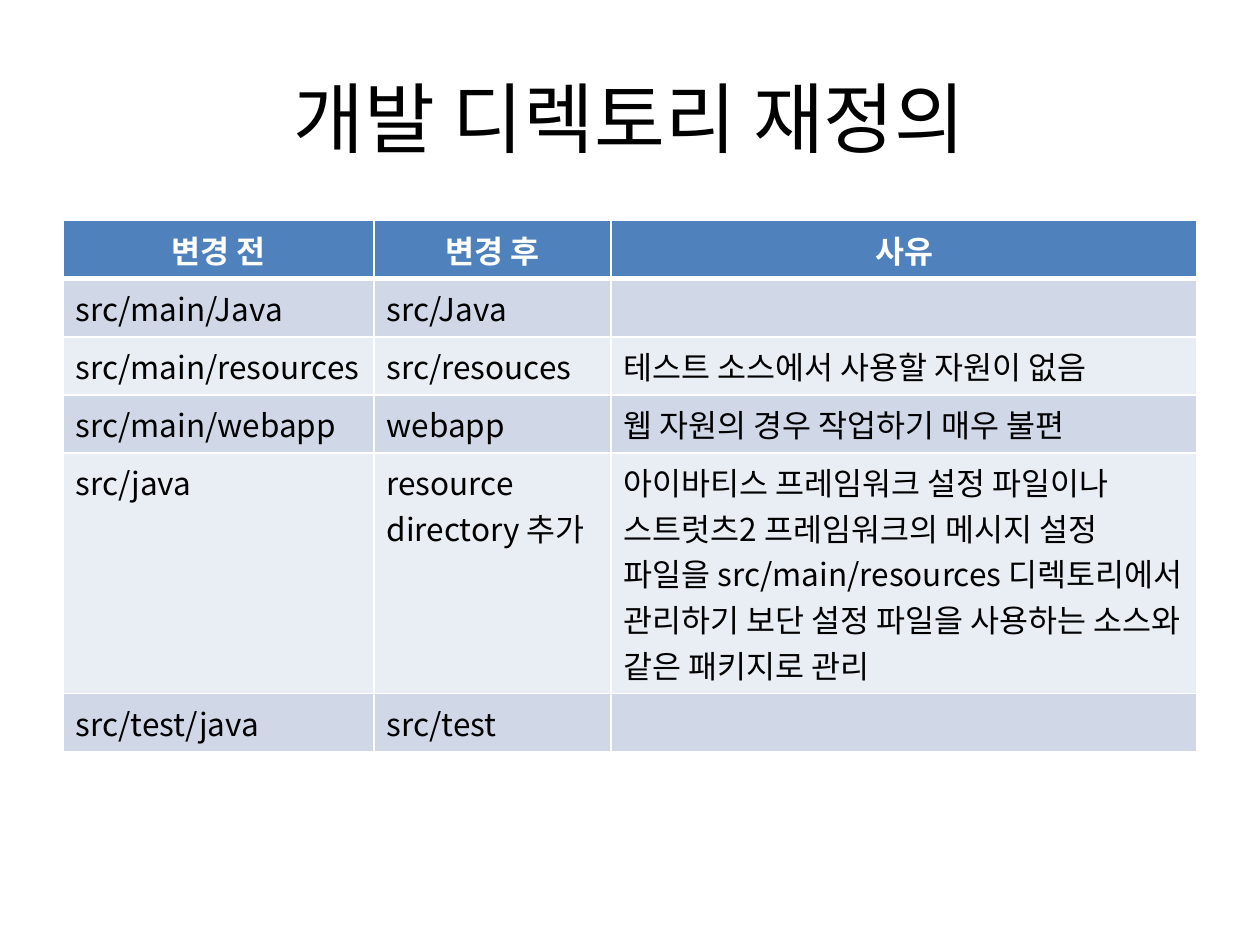
import dataclasses

import lxml.etree
import pptx
import pptx.dml.color
import pptx.enum.text
import pptx.oxml.ns
import pptx.util

Cm, Pt = pptx.util.Cm, pptx.util.Pt
RGB = pptx.dml.color.RGBColor.from_string
PP_ALIGN = pptx.enum.text.PP_ALIGN
qn = pptx.oxml.ns.qn


@dataclasses.dataclass(frozen=True)
class Theme:
    font: str = "Noto Sans CJK KR"
    title_size: int = 44
    body_size: int = 18
    text: str = "000000"
    header_text: str = "FFFFFF"
    header_fill: str = "4F81BD"
    bands: tuple = ("D0D8E8", "E9EDF4")
    border: str = "FFFFFF"
    thin: int = 1
    thick: int = 3


THEME = Theme()
TITLE = "개발 디렉토리 재정의"
ROWS = [
    ("변경 전", "변경 후", "사유"),
    ("src/main/Java", "src/Java", ""),
    ("src/main/resources", "src/resouces", "테스트 소스에서 사용할 자원이 없음"),
    ("src/main/webapp", "webapp", "웹 자원의 경우 작업하기 매우 불편"),
    ("src/java", "resource directory 추가",
     "아이바티스 프레임워크 설정 파일이나 스트럿츠2 프레임워크의 메시지 설정 파일을 "
     "src/main/resources 디렉토리에서 관리하기 보단 설정 파일을 사용하는 소스와 같은 패키지로 관리"),
    ("src/test/java", "src/test", ""),
]
COL_WIDTHS = (6.27, 4.78, 11.81)
ROW_HEIGHTS = (1.17, 1.17, 1.17, 1.17, 4.85, 1.17)


def write(tf, text, color, align, **fmt):
    p = tf.paragraphs[0]
    p.alignment = align
    if not text:
        return
    r = p.add_run()
    r.text = text
    for name, value in {"name": THEME.font, **fmt}.items():
        setattr(r.font, name, value)
    r.font.color.rgb = RGB(color)


def add_border(cell, side, width):
    ln = lxml.etree.SubElement(cell._tc.get_or_add_tcPr(), qn("a:ln" + side))
    ln.set("w", str(Pt(width)))
    fill = lxml.etree.SubElement(ln, qn("a:solidFill"))
    lxml.etree.SubElement(fill, qn("a:srgbClr")).set("val", THEME.border)


def add_title(s, left, top, width, height):
    tf = s.shapes.add_textbox(Cm(left), Cm(top), Cm(width), Cm(height)).text_frame
    tf.word_wrap = True
    tf.vertical_anchor = pptx.enum.text.MSO_ANCHOR.MIDDLE
    write(tf, TITLE, THEME.text, PP_ALIGN.CENTER, size=Pt(THEME.title_size))


def add_directory_table(s, left, top, width):
    table = s.shapes.add_table(len(ROWS), len(COL_WIDTHS), Cm(left), Cm(top),
                               Cm(width), Cm(sum(ROW_HEIGHTS))).table
    for column, share in zip(table.columns, COL_WIDTHS):
        column.width = Cm(width * share / sum(COL_WIDTHS))
    for i, (row, height) in enumerate(zip(ROWS, ROW_HEIGHTS)):
        table.rows[i].height = Cm(height)
        header = i == 0
        color = THEME.header_text if header else THEME.text
        fill = THEME.header_fill if header else THEME.bands[(i - 1) % 2]
        align = PP_ALIGN.CENTER if header else PP_ALIGN.LEFT
        widths = {"L": THEME.thin, "R": THEME.thin,
                  "T": THEME.thick if i == 1 else THEME.thin,
                  "B": THEME.thick if header else THEME.thin}
        for j, text in enumerate(row):
            cell = table.cell(i, j)
            for side, line_width in widths.items():
                add_border(cell, side, line_width)
            cell.fill.solid()
            cell.fill.fore_color.rgb = RGB(fill)
            write(cell.text_frame, text, color, align,
                  size=Pt(THEME.body_size), bold=header)


def main():
    prs = pptx.Presentation()
    prs.slide_width, prs.slide_height = Cm(25.4), Cm(19.05)
    s = prs.slides.add_slide(prs.slide_layouts[6])
    add_title(s, 1.27, 0.76, 22.86, 3.18)
    add_directory_table(s, 1.27, 4.45, 22.86)
    prs.save("out.pptx")


if __name__ == "__main__":
    main()
